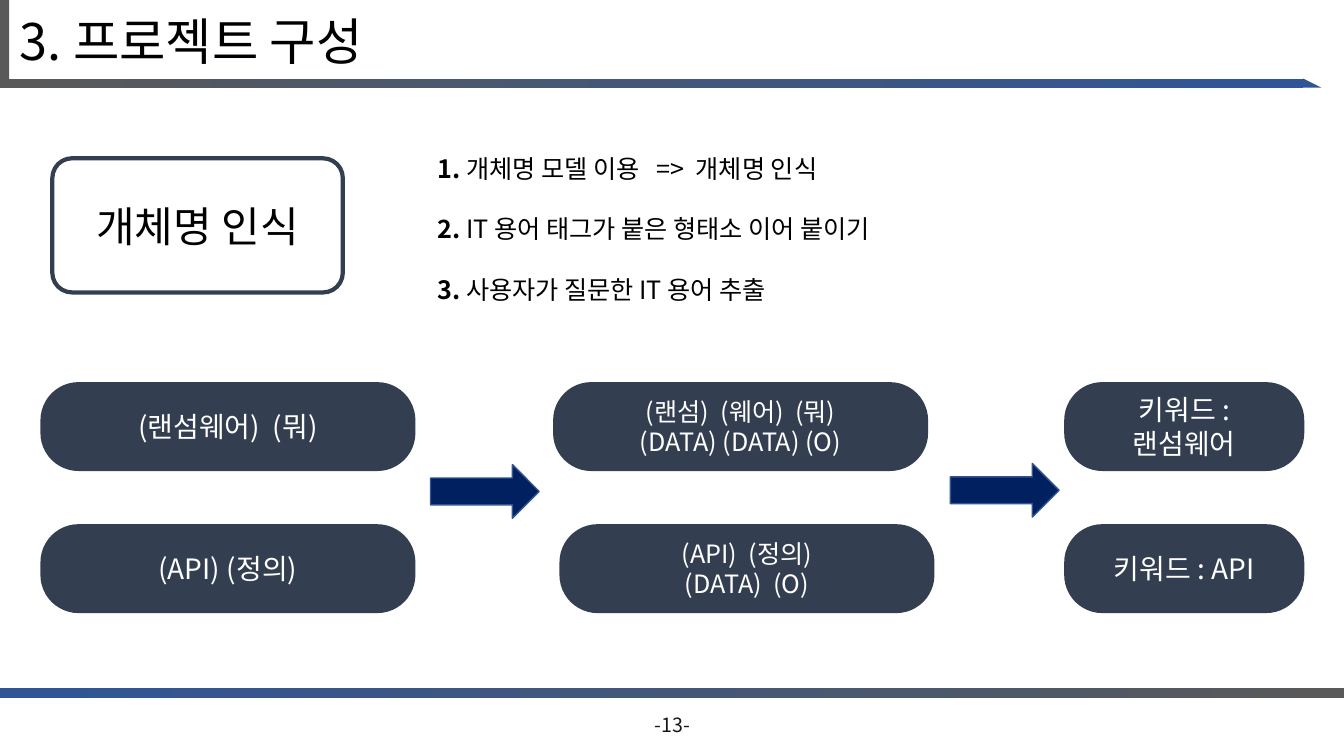
from dataclasses import dataclass

from lxml.etree import SubElement
from pptx import Presentation
from pptx.dml.color import RGBColor
from pptx.enum.shapes import MSO_SHAPE
from pptx.enum.text import MSO_ANCHOR, PP_ALIGN
from pptx.oxml.ns import qn
from pptx.util import Cm, Pt


@dataclass(frozen=True)
class Theme:
    font: str = "Noto Sans CJK KR"
    black: str = "000000"
    white: str = "FFFFFF"
    grey: str = "595959"
    blue: str = "2F5597"
    slate: str = "333F50"
    navy: str = "002060"
    arrow_edge: str = "325491"
    footer: str = "181717"
    title_size: int = 36
    topic_size: int = 30
    label_size: int = 20
    body_size: int = 18
    footer_size: int = 14


theme = Theme()


def add_shape(kind, left, top, width, height, fill=None, line=None, line_width=1):
    """Add a preset shape measured in cm; two fill colours make a gradient."""
    shape = slide.shapes.add_shape(kind, Cm(left), Cm(top), Cm(width), Cm(height))
    shape.shadow.inherit = False
    if fill is None:
        shape.fill.background()
    elif isinstance(fill, tuple):
        shape.fill.gradient()
        shape.fill.gradient_angle = 0
        for stop, color in zip(shape.fill.gradient_stops, fill):
            stop.color.rgb = RGBColor.from_string(color)
    else:
        shape.fill.solid()
        shape.fill.fore_color.rgb = RGBColor.from_string(fill)
    if line:
        shape.line.color.rgb = RGBColor.from_string(line)
        shape.line.width = Pt(line_width)
    else:
        shape.line.fill.background()
    return shape


def style_text(box, size, color, align=PP_ALIGN.CENTER, anchor=MSO_ANCHOR.MIDDLE):
    frame = box.text_frame
    frame.word_wrap = True
    frame.vertical_anchor = anchor
    for para in frame.paragraphs:
        para.alignment = align
        for span in para.runs:
            span.font.name = theme.font
            span.font.size = Pt(size)
            span.font.color.rgb = RGBColor.from_string(color)
            east_asian = SubElement(span.font._element, qn("a:ea"))
            east_asian.set("typeface", theme.font)


deck = Presentation()
deck.slide_width, deck.slide_height = Cm(33.87), Cm(19.05)
slide = deck.slides.add_slide(deck.slide_layouts[5])

# Header and footer bars
add_shape(MSO_SHAPE.RECTANGLE, 0, 1.98, 32.84, 0.23, (theme.grey, theme.blue))
add_shape(MSO_SHAPE.RECTANGLE, 0, 0, 0.23, 2.2, theme.grey)
add_shape(MSO_SHAPE.RIGHT_TRIANGLE, 32.84, 1.98, 0.46, 0.23, theme.blue)
add_shape(MSO_SHAPE.RECTANGLE, 0, 17.35, 33.87, 0.23, (theme.blue, theme.grey))

page_number = slide.shapes.add_textbox(Cm(13.13), Cm(17.75), Cm(7.62), Cm(1.02))
page_number.text_frame.text = "-13-"
style_text(page_number, theme.footer_size, theme.footer)

title = slide.shapes.title
title.left, title.top, title.width, title.height = Cm(0.25), Cm(0.1), Cm(27.28), Cm(2.03)
title.text_frame.text = "3. 프로젝트 구성"
title.text_frame.paragraphs[0].line_spacing = 0.9
style_text(title, theme.title_size, theme.black, PP_ALIGN.LEFT)

# Topic and its steps
topic = add_shape(MSO_SHAPE.ROUNDED_RECTANGLE, 1.32, 3.99, 7.32, 3.38,
                  line=theme.slate, line_width=3)
topic.adjustments[0] = 0.147
topic.text_frame.text = "개체명 인식"
style_text(topic, theme.topic_size, theme.black)

steps = [
    "개체명 모델 이용   =>  개체명 인식",
    "IT 용어 태그가 붙은 형태소 이어 붙이기",
    "사용자가 질문한 IT 용어 추출",
]
step_list = slide.shapes.add_textbox(Cm(10.77), Cm(3.73), Cm(12.27), Cm(4.11))
for number, step in enumerate(steps, start=1):
    if number == 1:
        para = step_list.text_frame.paragraphs[0]
    else:
        para = step_list.text_frame.add_paragraph()
        para.space_before = Pt(21.6)
    for text, bold in ((f"{number}. ", True), (step, False)):
        span = para.add_run()
        span.text = text
        span.font.bold = bold
style_text(step_list, theme.body_size, theme.black, PP_ALIGN.LEFT, MSO_ANCHOR.TOP)

# Two example questions, each going from tokens to tags to keyword
upper_row, lower_row = 9.63, 13.21
capsules = [
    (1.02, upper_row, 9.45, theme.label_size, "(랜섬웨어)  (뭐)"),
    (1.02, lower_row, 9.45, theme.label_size, "(API) (정의)"),
    (13.94, upper_row, 9.45, theme.body_size, "(랜섬)  (웨어)  (뭐)\n(DATA) (DATA) (O)"),
    (14.1, lower_row, 9.45, theme.body_size, "(API)  (정의)\n(DATA)  (O)"),
    (26.82, upper_row, 6.05, theme.label_size, "키워드 : 랜섬웨어"),
    (26.82, lower_row, 6.05, theme.label_size, "키워드 : API"),
]
for left, top, width, size, text in capsules:
    capsule = add_shape(MSO_SHAPE.ROUNDED_RECTANGLE, left, top, width, 2.24, theme.slate)
    capsule.adjustments[0] = 0.429
    capsule.text_frame.text = text
    style_text(capsule, size, theme.white)

for left, top in ((10.85, 11.71), (23.95, 11.68)):
    add_shape(MSO_SHAPE.RIGHT_ARROW, left, top, 2.74, 1.35, theme.navy, theme.arrow_edge)

deck.save("out.pptx")
